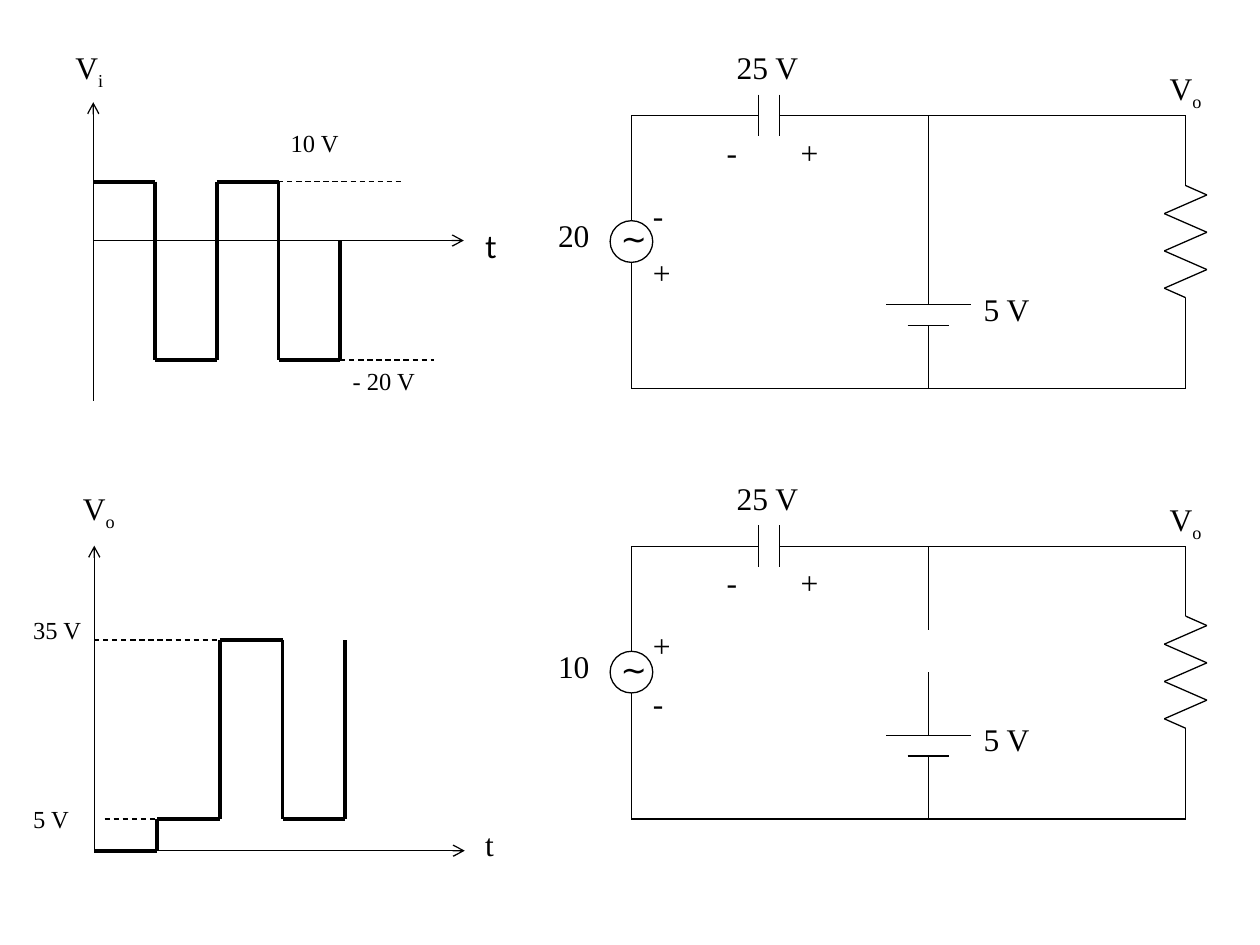
"""Build a slide of a clamper's input and output waves beside its two circuit states."""
from itertools import pairwise

from lxml.etree import SubElement
from pptx import Presentation
from pptx.dml.color import RGBColor
from pptx.enum.dml import MSO_LINE
from pptx.enum.shapes import MSO_CONNECTOR, MSO_SHAPE
from pptx.enum.text import PP_ALIGN
from pptx.oxml.ns import qn
from pptx.util import Cm, Pt

BLACK = RGBColor(0, 0, 0)
WHITE = RGBColor(255, 255, 255)
SERIF = "Times New Roman"

presentation = Presentation()
presentation.slide_width = Cm(25.4)
presentation.slide_height = Cm(19.05)
slide = presentation.slides.add_slide(presentation.slide_layouts[6])


def add_text(text, left, top, width=1.9, height=1.2, size=18, font=SERIF, subscript=""):
    box = slide.shapes.add_textbox(Cm(left), Cm(top), Cm(width), Cm(height))
    box.text_frame.word_wrap = True
    for index, line in enumerate(text.split("\n")):
        frame = box.text_frame
        paragraph = frame.add_paragraph() if index else frame.paragraphs[0]
        paragraph.alignment = PP_ALIGN.LEFT
        if index:
            paragraph.space_before = Pt(11.2)
        paragraph.add_run().text = line
        if subscript:
            run = paragraph.add_run()
            run.text = subscript
            run.font._element.set("baseline", "-25000")
        for run in paragraph.runs:
            run.font.size = Pt(size)
            run.font.name = font
            run.font.color.rgb = BLACK


def add_path(points, width=0.75, dashed=False, arrow=False):
    for start, end in pairwise(points):
        connector = slide.shapes.add_connector(
            MSO_CONNECTOR.STRAIGHT, *[Cm(value) for value in (*start, *end)])
        connector.line.color.rgb = BLACK
        connector.line.width = Pt(width)
        if dashed:
            connector.line.dash_style = MSO_LINE.DASH
        properties = connector._element.spPr
        if arrow:
            SubElement(properties.find(qn("a:ln")), qn("a:tailEnd"), type="arrow")
        SubElement(properties, qn("a:effectLst"))


source_x, battery_x, load_x = 12.73, 18.72, 23.9
plate_left, plate_right = 15.29, 15.72
zigzag = [(load_x + (-0.43 if index % 2 else 0.43), 1.6 + 0.376 * index)
          for index in range(6)]

# top wire, source voltage, source polarity, battery branch segments
circuits = [
    (2.33, "20", "-\n+", [(0, 3.81)]),
    (11.01, "10", "+\n-", [(0, 1.69), (2.54, 3.81)]),
]
for top, voltage, polarity, branch in circuits:
    resistor = [(load_x, 0), (load_x, 1.41), *zigzag, (load_x, 3.67), (load_x, 5.5)]
    wires = [
        [(source_x, 2.12), (source_x, 0), (plate_left, 0)],
        [(plate_right, 0), (load_x, 0)],
        [(plate_left, -0.42), (plate_left, 0.42)],
        [(plate_right, -0.42), (plate_right, 0.42)],
        resistor,
        [(load_x, 5.5), (source_x, 5.5), (source_x, 2.96)],
        [(battery_x - 0.85, 3.81), (battery_x + 0.85, 3.81)],
        [(battery_x - 0.42, 4.23), (battery_x + 0.42, 4.23)],
        [(battery_x, 4.23), (battery_x, 5.5)],
    ]
    wires += [[(battery_x, start), (battery_x, end)] for start, end in branch]
    for wire in wires:
        add_path([(x, top + y) for x, y in wire])

    source = slide.shapes.add_shape(
        MSO_SHAPE.OVAL, Cm(source_x - 0.43), Cm(top + 2.12), Cm(0.86), Cm(0.84))
    source.shadow.inherit = False
    source.fill.solid()
    source.fill.fore_color.rgb = WHITE
    source.line.color.rgb = BLACK
    source.line.width = Pt(0.75)

    add_text("∼", 12.26, top + 1.97, width=1.5, font="Arial")
    add_text(voltage, 11, top + 1.9, width=1.5)
    add_text(polarity, 12.91, top + 1.49, width=1.27, height=2.18)
    add_text("25 V", 14.6, top - 1.48)
    add_text("-", 14.4, top + 0.22, width=1)
    add_text("+", 15.89, top + 0.22, width=1)
    add_text("5 V", 19.58, top + 3.39)
    add_text("V", 23.33, top - 1.06, width=1.4, subscript="o")

# axis left, axis top, axis bottom, time axis, step width, levels, last level
waves = [
    (1.88, 2.06, 8.08, 4.85, 1.245, [3.66, 7.26, 3.66, 7.26], 4.85),
    (1.9, 11, 17.15, 17.15, 1.265, [17.15, 16.51, 12.9, 16.51], 12.9),
]
for left, top, bottom, time_axis, step, levels, last_level in waves:
    add_path([(left, bottom), (left, top)], arrow=True)
    add_path([(left, time_axis), (left + 7.47, time_axis)], arrow=True)
    points = []
    for index, level in enumerate(levels):
        points += [(left + index * step, level), (left + (index + 1) * step, level)]
    points.append((left + len(levels) * step, last_level))
    add_path(points, width=2.25)

for start, end, level in [(5.61, 8.1, 3.66), (6.86, 8.74, 7.26),
                          (1.9, 4.4, 12.9), (2.11, 3.13, 16.51)]:
    add_path([(start, level), (end, level)], dashed=True)

add_text("V", 1.27, 0.85, subscript="i")
add_text("V", 1.42, 9.74, subscript="o")
add_text("t", 9.53, 4.45, width=0.85, font="Lato")
add_text("t", 9.53, 16.51, width=1.07)
for label, left, top in [("10 V", 5.61, 2.46), ("- 20 V", 6.86, 7.26),
                         ("35 V", 0.42, 12.28), ("5 V", 0.42, 16.09)]:
    add_text(label, left, top, width=2.5, size=14)

presentation.save("out.pptx")
